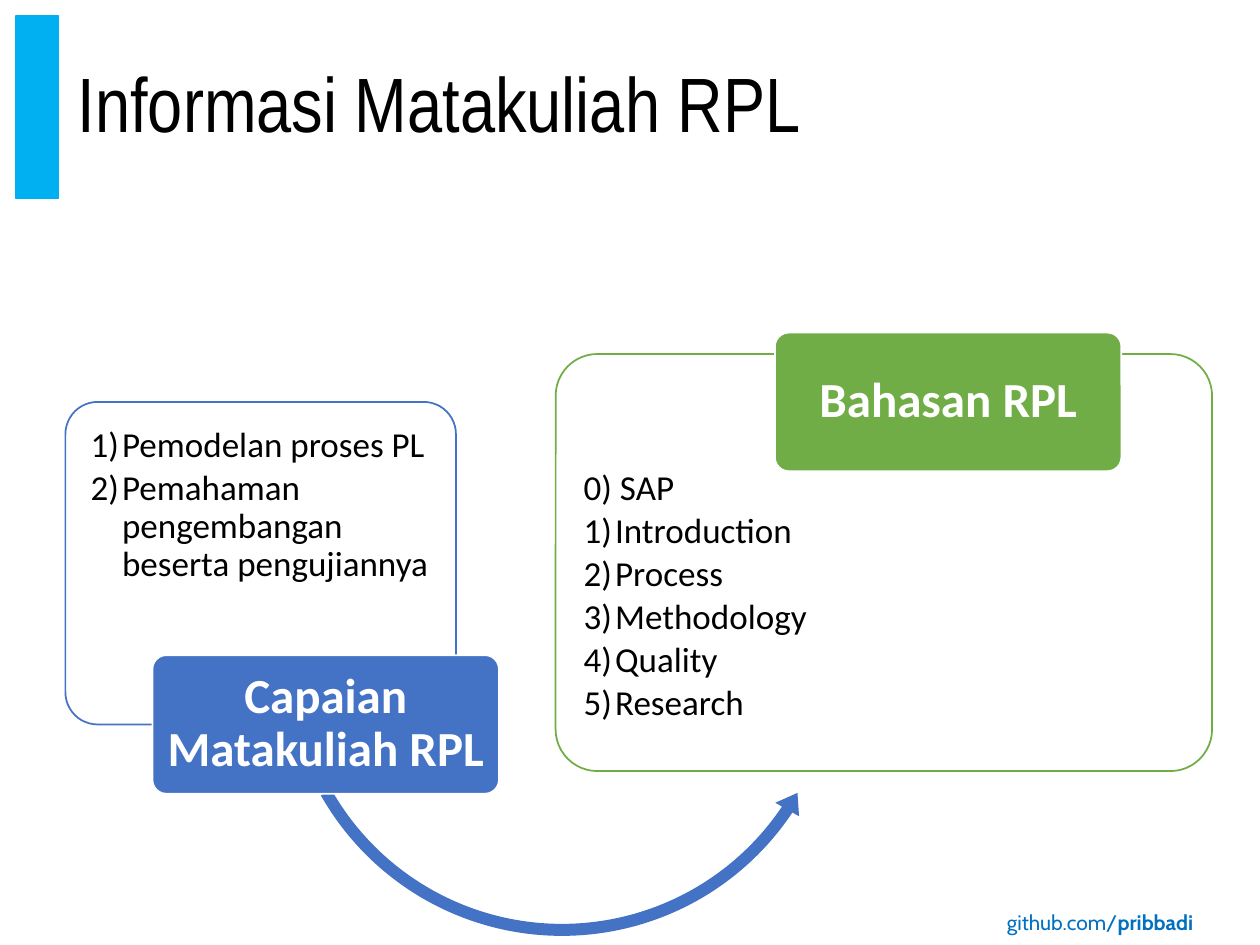
"""Build the course information slide with two panels joined by a curved arrow."""
import pptx
import pptx.dml.color
import pptx.enum.shapes
import pptx.enum.text
import pptx.oxml
import pptx.oxml.ns
import pptx.util

Pt = pptx.util.Pt
SHAPE = pptx.enum.shapes.MSO_SHAPE
ALIGN = pptx.enum.text.PP_ALIGN
ANCHOR = pptx.enum.text.MSO_ANCHOR

THEME = {
    "white": "FFFFFF", "black": "000000", "bar": "00B0F0",
    "blue": "4472C4", "green": "70AD47", "link": "0070C0",
    "title": ("Arial Narrow", 44), "body": ("Calibri", 20), "label": ("Calibri", 28),
    "address": ("Cabin", 12),
}

TITLE = "Informasi Matakuliah RPL"
ADDRESS = [("github.com/", "link", False), ("pribbadi", "link", True)]
BAR_BOX = (9, 9, 24.5, 104.4)
TITLE_BOX = (37.4, 9.4, 655.2, 104.4)
ADDRESS_BOX = (568.8, 514.8, 120.2, 23.8)
ARROW_BOX = (158.4, 213.8, 325.4, 325.4)
ARROW_ADJUSTMENTS = (0.021, 2.488, 20.268, 90.27, 0.024)
LABEL_SIZE = (198, 79.2)
PANELS = [
    {"label": "Capaian Matakuliah RPL", "color": "blue", "box": (37.4, 229.7, 223.2, 184.3),
     "label_at": (87.1, 374.4), "top_inset": 9, "plain": [],
     "numbered": ["Pemodelan proses PL", "Pemahaman pengembangan beserta pengujiannya"]},
    {"label": "Bahasan RPL", "color": "green", "box": (317.5, 202.3, 375.1, 238.3),
     "label_at": (442.8, 190.1), "top_inset": 59.5, "plain": ["0) SAP"],
     "numbered": ["Introduction", "Process", "Methodology", "Quality", "Research"]},
]


def color(name):
    return pptx.dml.color.RGBColor.from_string(THEME[name])


def apply(target, values):
    for name, value in values.items():
        setattr(target, name, value)


def add_shape(slide, kind, box, fill, line=None):
    shape = slide.shapes.add_shape(kind, *map(Pt, box))
    shape.shadow.inherit = False
    shape.fill.solid()
    shape.fill.fore_color.rgb = color(fill)
    if line:
        shape.line.color.rgb = color(line)
        shape.line.width = Pt(1)
    else:
        shape.line.fill.background()
    return shape


def add_rounded(slide, box, fill, line):
    shape = add_shape(slide, SHAPE.ROUNDED_RECTANGLE, box, fill, line)
    shape.adjustments[0] = 0.1
    return shape


def set_frame(shape, insets, anchor):
    sides = ("margin_left", "margin_top", "margin_right", "margin_bottom")
    apply(shape.text_frame, {"word_wrap": True, "vertical_anchor": anchor,
                             **dict(zip(sides, map(Pt, insets)))})
    return shape.text_frame


def write(paragraph, runs, style, **formats):
    apply(paragraph, formats)
    family, size = THEME[style]
    for text, color_name, bold in runs:
        run = paragraph.add_run()
        run.text = text
        apply(run.font, {"name": family, "size": Pt(size), "bold": bold})
        run.font.color.rgb = color(color_name)


def add_element(parent, tag, **attributes):
    parent.append(parent.makeelement(pptx.oxml.ns.qn(tag), attributes))


def add_panel(slide, panel):
    shape = add_rounded(slide, panel["box"], "white", panel["color"])
    fill_color = shape.fill._xPr.find(".//" + pptx.oxml.ns.qn("a:srgbClr"))
    add_element(fill_color, "a:alpha", val="90000")
    frame = set_frame(shape, (9, panel["top_inset"], 9, 9), ANCHOR.TOP)
    items = panel["plain"] + panel["numbered"]
    for index, text in enumerate(items):
        paragraph = frame.add_paragraph() if index else frame.paragraphs[0]
        properties = paragraph._p.get_or_add_pPr()
        properties.set("marL", str(Pt(18)))
        properties.set("indent", str(Pt(-18)))
        if text in panel["numbered"]:
            add_element(properties, "a:buAutoNum", type="arabicParenR")
        else:
            add_element(properties, "a:buNone")
        write(paragraph, [(text, "black", False)], "body",
              alignment=ALIGN.LEFT, line_spacing=0.9, space_after=Pt(3))


def add_label(slide, panel):
    shape = add_rounded(slide, panel["label_at"] + LABEL_SIZE, panel["color"], "white")
    frame = set_frame(shape, (4.3, 3, 4.3, 3), ANCHOR.MIDDLE)
    write(frame.paragraphs[0], [(panel["label"], "white", True)], "label",
          alignment=ALIGN.CENTER, line_spacing=0.9)


def add_arrow(slide):
    arrow = add_shape(slide, SHAPE.LEFT_CIRCULAR_ARROW, ARROW_BOX, "blue")
    for index, value in enumerate(ARROW_ADJUSTMENTS):
        arrow.adjustments[index] = value


def add_frame_parts(slide):
    address = add_shape(slide, SHAPE.RECTANGLE, ADDRESS_BOX, "white")
    frame = set_frame(address, (0, 3.6, 7.2, 3.6), ANCHOR.MIDDLE)
    write(frame.paragraphs[0], ADDRESS, "address", alignment=ALIGN.RIGHT)
    add_shape(slide, SHAPE.RECTANGLE, BAR_BOX, "bar", "bar")
    title = slide.shapes.add_textbox(*map(Pt, TITLE_BOX))
    frame = set_frame(title, (7.2, 3.6, 7.2, 3.6), ANCHOR.MIDDLE)
    write(frame.paragraphs[0], [(TITLE, "black", False)], "title", line_spacing=0.9)


def main():
    presentation = pptx.Presentation()
    apply(presentation, {"slide_width": Pt(720), "slide_height": Pt(540)})
    slide = presentation.slides.add_slide(presentation.slide_layouts[6])
    add_frame_parts(slide)
    outcomes, topics = PANELS
    add_panel(slide, outcomes)
    add_arrow(slide)
    add_label(slide, outcomes)
    add_panel(slide, topics)
    add_label(slide, topics)
    presentation.save("out.pptx")


if __name__ == "__main__":
    main()
